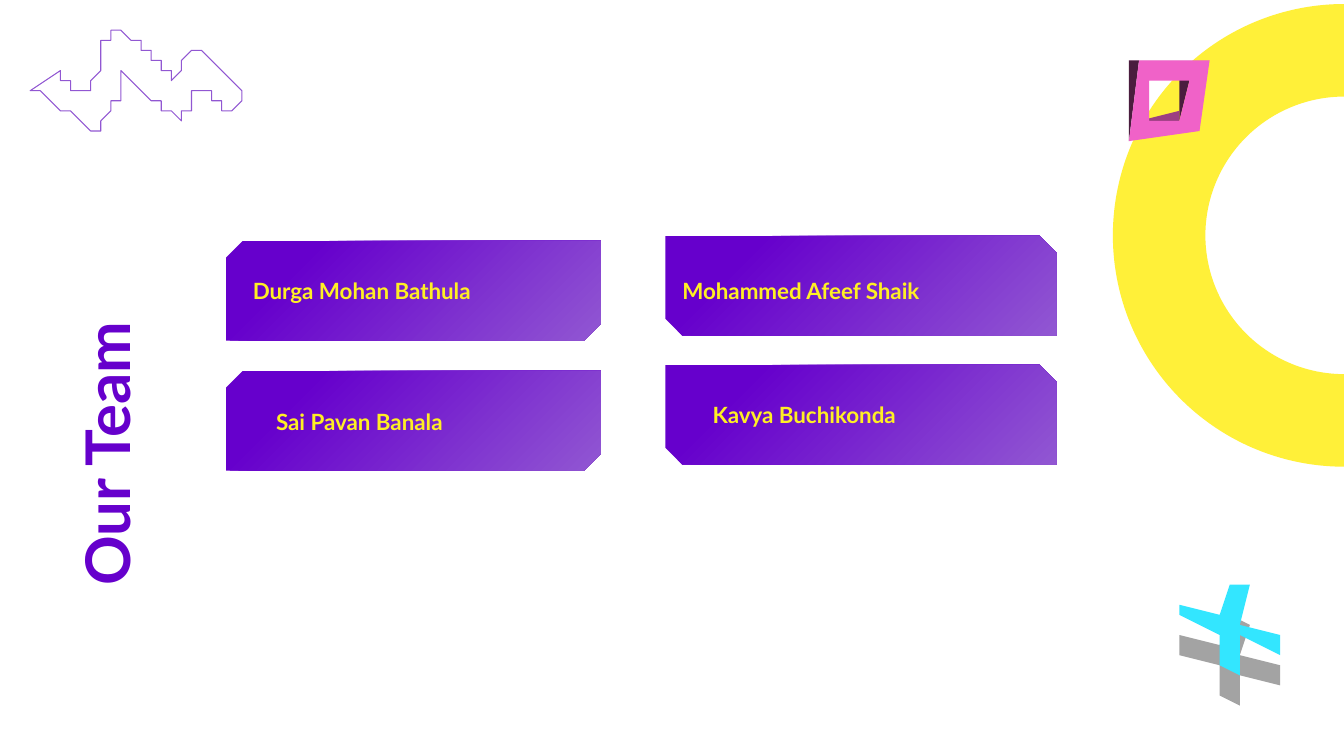
from dataclasses import dataclass

from lxml import etree
from pptx import Presentation
from pptx.dml.color import RGBColor
from pptx.enum.shapes import MSO_SHAPE
from pptx.oxml.ns import qn
from pptx.util import Emu, Inches, Pt

BLOCK_ARC = MSO_SHAPE.BLOCK_ARC
SNIPPED_CARD = MSO_SHAPE.SNIP_2_DIAG_RECTANGLE

# Grid of square cells: 133.33 columns by 75 rows
CELL = Inches(0.1)
COLUMNS, ROWS = 133.33, 75
FONT = "Lato"
COLORS = {
    "purple": "6600CC",
    "lilac": "9157D2",
    "yellow": "FFEF24",
    "cyan": "33E6FF",
    "grey": "A3A3A3",
    "pink": "F062C8",
    "plum": "9C3F82",
    "dark plum": "4A1D3E",
}

Point = tuple[float, float]


@dataclass(frozen=True)
class Card:
    column: float
    row: float
    width: float
    snips: Point
    name: str
    name_column: float
    name_row: float


@dataclass(frozen=True)
class Plane:
    """A tilted plane: its centre, its two half axes."""
    center: Point
    across: Point
    down: Point

    def place(self, points: list[Point], shift: Point = (0, 0)) -> list[Point]:
        return [
            tuple(self.center[i] + x * self.across[i] + y * self.down[i] + shift[i]
                  for i in (0, 1))
            for x, y in points
        ]


LEFT_SNIPS, RIGHT_SNIPS = (0.17, 0), (0, 0.17)
CARD_HEIGHT = 9.9
CARDS = [
    Card(66, 36.2, 38.8, RIGHT_SNIPS, "Kavya Buchikonda", 69.7, 39.3),
    Card(66, 23.4, 38.8, RIGHT_SNIPS, "Mohammed Afeef Shaik", 66.7, 27),
    Card(22.4, 36.8, 37.2, LEFT_SNIPS, "Sai Pavan Banala", 26.4, 40),
    Card(22.4, 23.9, 37.2, LEFT_SNIPS, "Durga Mohan Bathula", 24.1, 27),
]

# Smooth strokes of the squiggle, joined at sharp corners
SQUIGGLE = [
    [(5.8, 7.4), (8.6, 9.4), (10.3, 4.4), (11.7, 3.2), (14.2, 4.9), (17.2, 7.8)],
    [(17.2, 7.8), (19.4, 4.9), (24.1, 9.3), (22.2, 11.2)],
    [(22.2, 11.2), (20, 8.7), (17.5, 11.6), (12.3, 7.3)],
    [(12.3, 7.3), (11.1, 10.8), (8.8, 12.5), (3.4, 8.6)],
]

CROSS_PLANE = Plane((122.25, 62.2), (4.9, 1.63), (-0.4, 4.15))
CROSS_ARM = 0.2
CROSS_DROP = 3.4
FRAME_PLANE = Plane((115.93, 9.83), (3.33, -0.18), (-0.43, 3.62))
FRAME_HOLE = 0.54
FRAME_DEPTH = (-0.55, -0.3)


def cells(count: float) -> Emu:
    return Emu(round(count * CELL))


def color(name: str) -> RGBColor:
    return RGBColor.from_string(COLORS[name])


def quarter_turns(points: list[Point]) -> list[Point]:
    turned: list[Point] = []
    for _ in range(4):
        turned += points
        points = [(-y, x) for x, y in points]
    return turned


def smooth(stroke: list[Point], steps: int = 8) -> list[Point]:
    """Catmull-Rom curve through the points of a stroke."""
    padded = [stroke[0], *stroke, stroke[-1]]
    curve = [stroke[0]]
    for a, b, c, d in zip(padded, padded[1:], padded[2:], padded[3:]):
        for step in range(1, steps + 1):
            t = step / steps
            curve.append(tuple(
                b[i] + t / 2 * (c[i] - a[i]
                                + t * (2 * a[i] - 5 * b[i] + 4 * c[i] - d[i])
                                + t * t * (3 * b[i] - a[i] - 3 * c[i] + d[i]))
                for i in (0, 1)
            ))
    return curve


def add_outline(slide, contours: list[list[Point]]):
    (start, *others), *holes = contours
    builder = slide.shapes.build_freeform(*start, scale=CELL)
    builder.add_line_segments(others, close=True)
    for first, *rest in holes:
        builder.move_to(*first)
        builder.add_line_segments(rest, close=True)
    shape = builder.convert_to_shape()
    shape.shadow.inherit = False
    return shape


def add_face(slide, color_name: str, *contours: list[Point]) -> None:
    shape = add_outline(slide, list(contours))
    shape.fill.solid()
    shape.fill.fore_color.rgb = color(color_name)
    shape.line.fill.background()


def add_preset(slide, kind, column: float, row: float, width: float, height: float,
               adjustments: tuple[float, ...]):
    shape = slide.shapes.add_shape(kind, *map(cells, (column, row, width, height)))
    for index, value in enumerate(adjustments):
        shape.adjustments[index] = value
    shape.shadow.inherit = False
    shape.line.fill.background()
    return shape


def add_label(slide, text: str, column: float, row: float, width: float, height: float,
              size: float, color_name: str):
    box = slide.shapes.add_textbox(*map(cells, (column, row, width, height)))
    box.text_frame.word_wrap = True
    run = box.text_frame.paragraphs[0].add_run()
    run.text = text
    run.font.name = FONT
    run.font.size = Pt(size)
    run.font.bold = True
    run.font.color.rgb = color(color_name)
    return box


def add_cross(slide) -> None:
    arm = CROSS_ARM
    cross = quarter_turns([(-arm, -1), (arm, -1), (arm, -arm)])
    add_face(slide, "grey", CROSS_PLANE.place(cross, (0, CROSS_DROP)))
    add_face(slide, "cyan", CROSS_PLANE.place(cross))


def add_frame(slide) -> None:
    outer = quarter_turns([(-1, -1)])
    hole = [(x * FRAME_HOLE, y * FRAME_HOLE) for x, y in outer]
    # Corners run clockwise from the top left
    for corners, dark, light in ((outer, 3, 0), (hole, 1, 2)):
        for color_name, edge in (("dark plum", dark), ("plum", light)):
            ends = [corners[edge], corners[(edge + 1) % 4]]
            back = FRAME_PLANE.place(ends[::-1], FRAME_DEPTH)
            add_face(slide, color_name, FRAME_PLANE.place(ends) + back)
    add_face(slide, "pink", FRAME_PLANE.place(outer), FRAME_PLANE.place(hole[::-1]))


def add_card(slide, card: Card) -> None:
    shape = add_preset(slide, SNIPPED_CARD, card.column, card.row, card.width,
                       CARD_HEIGHT, card.snips)
    shape.fill.gradient()
    for stop, (position, name) in zip(shape.fill.gradient_stops,
                                      ((0, "lilac"), (0.8, "purple"))):
        stop.position = position
        stop.color.rgb = color(name)
    # Radial gradient that starts in the bottom right corner
    gradient = shape.element.spPr.find(qn("a:gradFill"))
    gradient.remove(gradient.find(qn("a:lin")))
    radial = etree.SubElement(gradient, qn("a:path"), {"path": "circle"})
    etree.SubElement(radial, qn("a:fillToRect"), {"l": "100000", "t": "100000"})
    name_width = card.column + card.width - card.name_column
    add_label(slide, card.name, card.name_column, card.name_row, name_width, 3.7,
              16, "yellow")


def main() -> None:
    presentation = Presentation()
    presentation.slide_width = cells(COLUMNS)
    presentation.slide_height = cells(ROWS)
    slide = presentation.slides.add_slide(presentation.slide_layouts[6])

    # Vertical title
    title = add_label(slide, "Our Team", -11.1, 33.3, 43.2, 8.4, 44, "purple")
    title.rotation = 270

    # Decorations
    squiggle = add_outline(slide, [sum(map(smooth, SQUIGGLE), [])])
    squiggle.fill.background()
    squiggle.line.color.rgb = color("lilac")
    squiggle.line.width = Pt(0.75)

    ring = add_preset(slide, BLOCK_ARC, 110.4, 0.4, 45.9, 45.9, (108, 0, 0.2))
    ring.rotation = 270
    ring.fill.solid()
    ring.fill.fore_color.rgb = color("yellow")
    ring_color = ring.element.spPr.find(qn("a:solidFill"))[0]
    etree.SubElement(ring_color, qn("a:alpha"), {"val": "90000"})

    add_cross(slide)
    add_frame(slide)

    # Team cards
    for card in CARDS:
        add_card(slide, card)

    presentation.save("out.pptx")


if __name__ == "__main__":
    main()
